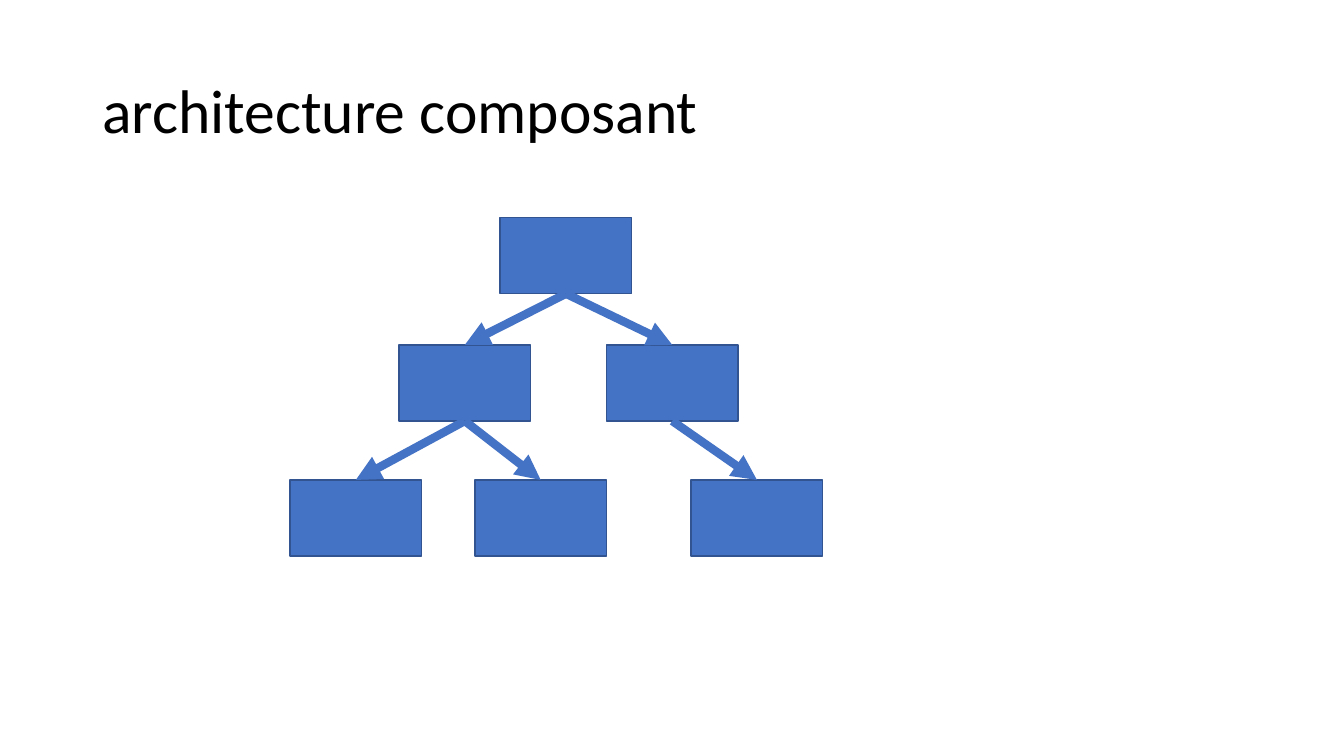
import lxml.etree
import pptx
import pptx.dml.color
import pptx.enum.shapes
import pptx.enum.text
import pptx.oxml.ns
import pptx.util

Pt = pptx.util.Pt
BLACK = pptx.dml.color.RGBColor(0x00, 0x00, 0x00)
BLUE = pptx.dml.color.RGBColor(0x44, 0x72, 0xC4)
DARK_BLUE = pptx.dml.color.RGBColor(0x32, 0x54, 0x91)

COMPONENTS = {
    "root": (404.3, 155.5),
    "left": (332, 246.4),
    "right": (480.2, 246.4),
    "left first": (254.2, 342.8),
    "left second": (386.2, 342.8),
    "right only": (540.7, 342.8),
}
LINKS = [
    ("root", "left"),
    ("root", "right"),
    ("left", "left first"),
    ("left", "left second"),
    ("right", "right only"),
]


def apply_format(target, values):
    """Set every attribute named in values on the target."""
    for name, value in values.items():
        setattr(target, name, value)


class ComponentSlide:
    """Hold the style and the current slide of the component diagram."""

    title_font = {"name": "Calibri", "size": Pt(44)}
    title_frame = {
        "word_wrap": True,
        "vertical_anchor": pptx.enum.text.MSO_ANCHOR.MIDDLE,
    }
    box_width = 94
    box_height = 54.3
    top_site, bottom_site = 0, 2

    def __init__(self, slide):
        """Keep the slide that receives the elements."""
        self.slide = slide

    def title(self, text, left, top, width, height):
        """Add the slide title."""
        box = self.slide.shapes.add_textbox(Pt(left), Pt(top), Pt(width), Pt(height))
        apply_format(box.text_frame, self.title_frame)
        para = box.text_frame.paragraphs[0]
        para.line_spacing = 0.9
        span = para.add_run()
        span.text = text
        apply_format(span.font, self.title_font)
        span.font.color.rgb = BLACK

    def component(self, center, top):
        """Add a component box centred on a horizontal position."""
        box = self.slide.shapes.add_shape(
            pptx.enum.shapes.MSO_SHAPE.RECTANGLE,
            Pt(center - self.box_width / 2),
            Pt(top),
            Pt(self.box_width),
            Pt(self.box_height),
        )
        box.shadow.inherit = False
        box.fill.solid()
        box.fill.fore_color.rgb = BLUE
        box.line.color.rgb = DARK_BLUE
        box.line.width = Pt(1)
        return box

    def arrow(self, parent, child):
        """Add an arrow from the bottom of the parent to the top of the child."""
        arrow = self.slide.shapes.add_connector(
            pptx.enum.shapes.MSO_CONNECTOR.STRAIGHT, 0, 0, 0, 0
        )
        arrow.begin_connect(parent, self.bottom_site)
        arrow.end_connect(child, self.top_site)
        arrow.line.color.rgb = BLUE
        arrow.line.width = Pt(6)
        qualified = pptx.oxml.ns.qn
        line = arrow.line._get_or_add_ln()
        lxml.etree.SubElement(line, qualified("a:tailEnd"), type="triangle")
        lxml.etree.SubElement(arrow._element.spPr, qualified("a:effectLst"))


def main():
    """Build the component architecture slide."""
    deck = pptx.Presentation()
    apply_format(deck, {"slide_width": Pt(960), "slide_height": Pt(540)})
    page = ComponentSlide(deck.slides.add_slide(deck.slide_layouts[6]))
    page.title("architecture composant", 66, 28.75, 828, 104.4)
    boxes = {name: page.component(*place) for name, place in COMPONENTS.items()}
    for parent, child in LINKS:
        page.arrow(boxes[parent], boxes[child])
    deck.save("out.pptx")


if __name__ == "__main__":
    main()
